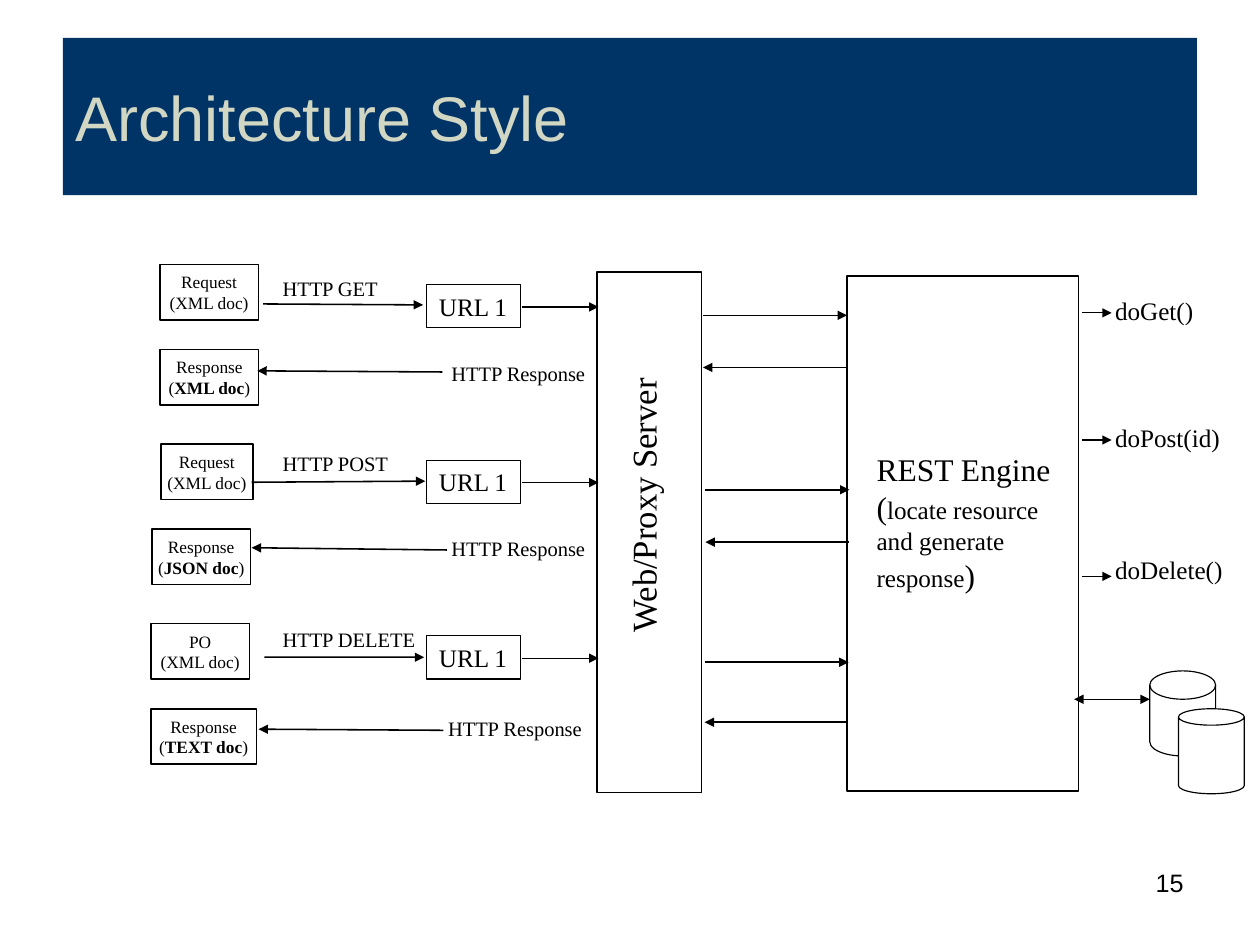
from typing import NamedTuple

from lxml.etree import SubElement
from pptx import Presentation
from pptx.dml.color import RGBColor
from pptx.enum.shapes import MSO_CONNECTOR, MSO_SHAPE
from pptx.enum.text import MSO_ANCHOR, PP_ALIGN
from pptx.oxml.ns import qn
from pptx.util import Pt

NAVY = RGBColor(0x00, 0x33, 0x66)
SAGE = RGBColor(0xD1, 0xD7, 0xC3)
BLACK = RGBColor(0, 0, 0)
WHITE = RGBColor(255, 255, 255)
SERIF = "Times New Roman"
SANS = "Arial"


class Box(NamedTuple):
    x: float
    y: float
    w: float
    h: float


def write(shape, *lines, size=16, font=SERIF, color=BLACK, align=PP_ALIGN.LEFT,
          anchor=MSO_ANCHOR.TOP, inset=(8, 4), wrap=False):
    """Fill a shape with lines; a line is a string or a list of (text, size, bold) runs."""
    frame = shape.text_frame
    frame.word_wrap = wrap
    frame.vertical_anchor = anchor
    frame.margin_left = frame.margin_right = Pt(inset[0])
    frame.margin_top = frame.margin_bottom = Pt(inset[1])
    for i, line in enumerate(lines):
        para = frame.add_paragraph() if i else frame.paragraphs[0]
        para.alignment = align
        runs = [(line, size, False)] if isinstance(line, str) else line
        for text, points, bold in runs:
            run = para.add_run()
            run.text = text
            run.font.size = Pt(points)
            run.font.bold = bold
            run.font.name = font
            run.font.color.rgb = color


def label(slide, box, *lines, **style):
    shape = slide.shapes.add_textbox(*map(Pt, box))
    write(shape, *lines, **style)
    return shape


def block(slide, box, kind=MSO_SHAPE.RECTANGLE, fill=WHITE, line=1):
    shape = slide.shapes.add_shape(kind, *map(Pt, box))
    shape.shadow.inherit = False
    if fill is None:
        shape.fill.background()
    else:
        shape.fill.solid()
        shape.fill.fore_color.rgb = fill
    if line:
        shape.line.color.rgb = BLACK
        shape.line.width = Pt(line)
    else:
        shape.line.fill.background()
    return shape


def arrow(slide, x1, y1, x2, y2, width=1, ends=("tailEnd",)):
    link = slide.shapes.add_connector(
        MSO_CONNECTOR.STRAIGHT, Pt(x1), Pt(y1), Pt(x2), Pt(y2))
    link.line.color.rgb = BLACK
    link.line.width = Pt(width)
    for end in ends:
        SubElement(link.line._get_or_add_ln(), qn("a:" + end), type="triangle")
    SubElement(link._element.spPr, qn("a:effectLst"))


def title(slide, box):
    bar = block(slide, box, fill=NAVY, line=0)
    write(bar, "Architecture Style", size=40, font=SANS, color=SAGE,
          anchor=MSO_ANCHOR.MIDDLE)


def server(slide, box):
    block(slide, box)
    width, height = 222, 34.5
    name = label(slide, Box(box.x + 29 - width / 2, box.y + 148 - height / 2,
                            width, height),
                 "Web/Proxy Server", size=22, align=PP_ALIGN.CENTER)
    name.rotation = 270


def engine(slide, box):
    block(slide, box)
    label(slide, Box(box.x + 10.8, box.y + 106.5, 127.5, 99.5),
          "REST Engine",
          [("(", 20, False), ("locate resource and generate response", 16, False),
           (")", 20, False)],
          size=20, wrap=True)


def cards(slide, box):
    """Stack the request and response documents in three pairs."""
    pitch = box.h / 3
    pairs = [
        (("Request", "XML doc", 5.7, 62.6), ("Response", "XML doc", 5.9, 62.6)),
        (("Request", "XML doc", 6.4, 58.3), ("Response", "JSON doc", 0.7, 62.6)),
        (("PO", "XML doc", 0, 62.6), ("Response", "TEXT doc", 0, 67)),
    ]
    for i, pair in enumerate(pairs):
        for j, (name, kind, left, width) in enumerate(pair):
            card = block(slide, Box(box.x + left, box.y + pitch * i + 54 * j, width, 35.3))
            write(card, name, [("(", 11, False), (kind, 11, j == 1), (")", 11, False)],
                  size=11, align=PP_ALIGN.CENTER, anchor=MSO_ANCHOR.MIDDLE, inset=(0, 0))


def calls(slide, box):
    """Draw each HTTP call through its URL, and the reply below it."""
    pitch = box.h / 3
    # verb, call (x1, y1, x2, y2), reply (x1, y1, x2, y2), reply label (x, y)
    rows = [
        ("HTTP GET", (7, 12.3, 108.6, 12.9), (120.8, 55.5, 3.4, 54.8), (118.6, 44.7)),
        ("HTTP POST", (-0.2, 14, 110, 13.3), (123.7, 57, -0.2, 55.6), (118.6, 44)),
        ("HTTP DELETE", (7.8, 13.5, 109.3, 13.6), (121.5, 60, 4.2, 59.3), (116.5, 47)),
    ]
    for i, (verb, call, reply, (left, drop)) in enumerate(rows):
        x, y = box.x, box.y + pitch * i
        label(slide, Box(x + 11.4, y - 9.6, 110, 24), verb, size=13)
        url = block(slide, Box(x + 110.7, y, 59.8, 27.4), fill=None, line=0.75)
        write(url, "URL 1")
        label(slide, Box(x + left, y + drop, 106, 24), "HTTP Response", size=13)
        arrow(slide, x + 171.5, y + 14.2, x + 220, y + 14.2, width=0.75)
        for x1, y1, x2, y2 in (call, reply):
            arrow(slide, x + x1, y + y1, x + x2, y + y2)


def links(slide, box):
    """Join server and engine with a forward and a return arrow per call."""
    for go, back, shift in ((0, 33.1, 0), (110.8, 144, 1.5), (220.3, 258.4, 1)):
        left, right = box.x + shift, box.x + box.w + shift
        arrow(slide, left, box.y + go, right, box.y + go)
        arrow(slide, right - 0.5, box.y + back, left, box.y + back)


def methods(slide, box):
    rows = (("doGet()", 0, 15.1), ("doPost(id)", 80.6, 15.2), ("doDelete()", 164.2, 18.2))
    for name, top, drop in rows:
        y = box.y + top
        arrow(slide, box.x, y + drop, box.x + 18.8, y + drop, width=0.75)
        label(slide, Box(box.x + 13, y, box.w - 13, 27.4), name)


def store(slide, box):
    """Draw two stacked disks, linked both ways to the engine."""
    width, height = 41.8, 54
    block(slide, Box(box.x, box.y, width, height),
          MSO_SHAPE.FLOWCHART_MAGNETIC_DISK, fill=None, line=0.75)
    block(slide, Box(box.x + box.w - width, box.y + box.h - height, width, height),
          MSO_SHAPE.CAN, line=0.75)
    arrow(slide, box.x - 48, box.y + 18, box.x, box.y + 18, width=0.75,
          ends=("headEnd", "tailEnd"))


def main():
    deck = Presentation()
    deck.slide_width, deck.slide_height = Pt(800), Pt(600)
    slide = deck.slides.add_slide(deck.slide_layouts[6])
    title(slide, Box(40, 24, 720, 100))
    server(slide, Box(379.2, 172.8, 66.2, 330.5))
    engine(slide, Box(537.8, 175.3, 147, 327))
    cards(slide, Box(95.8, 168, 67, 342))
    calls(slide, Box(160, 180.7, 220, 334.5))
    links(slide, Box(446.4, 200.2, 91.4, 258.4))
    methods(slide, Box(687, 183.6, 108, 191.6))
    store(slide, Box(730, 426, 60, 78))
    label(slide, Box(573, 546.5, 186.5, 41), "15", font=SANS,
          align=PP_ALIGN.RIGHT, wrap=True)
    deck.save("out.pptx")


if __name__ == "__main__":
    main()
